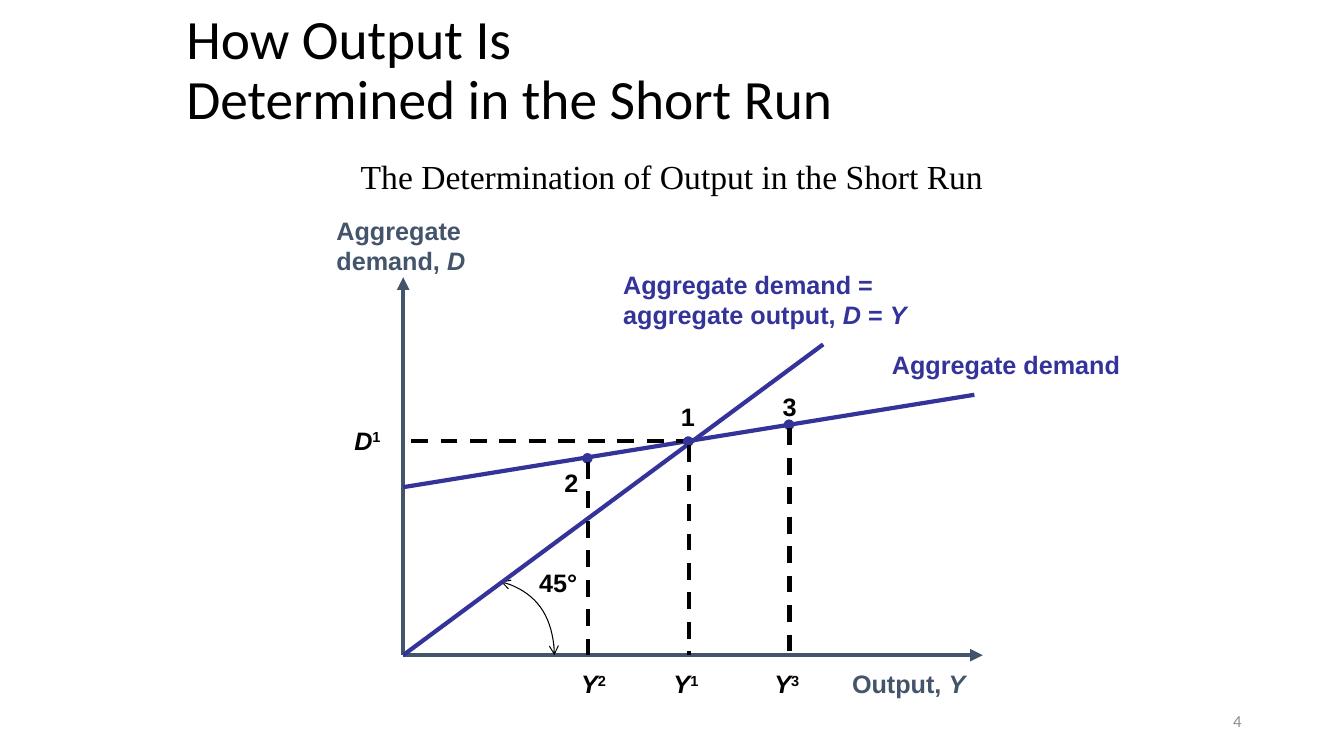
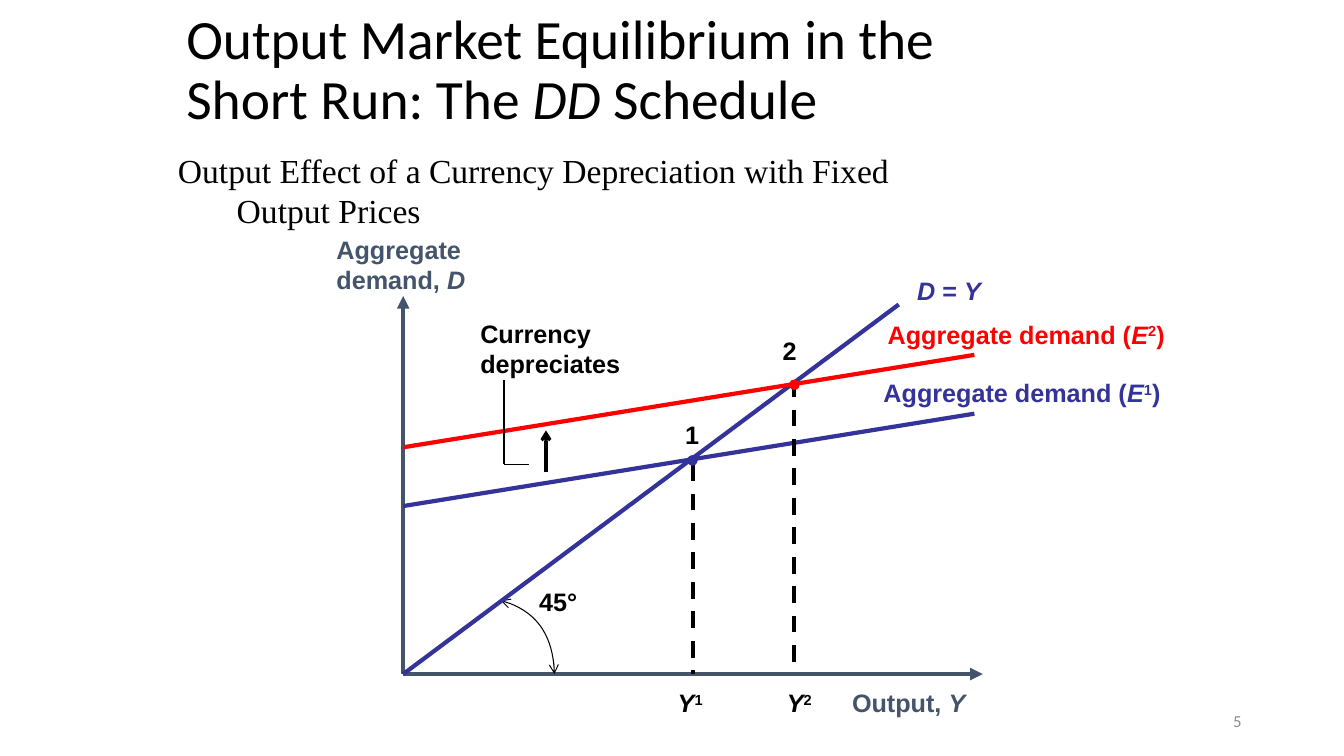
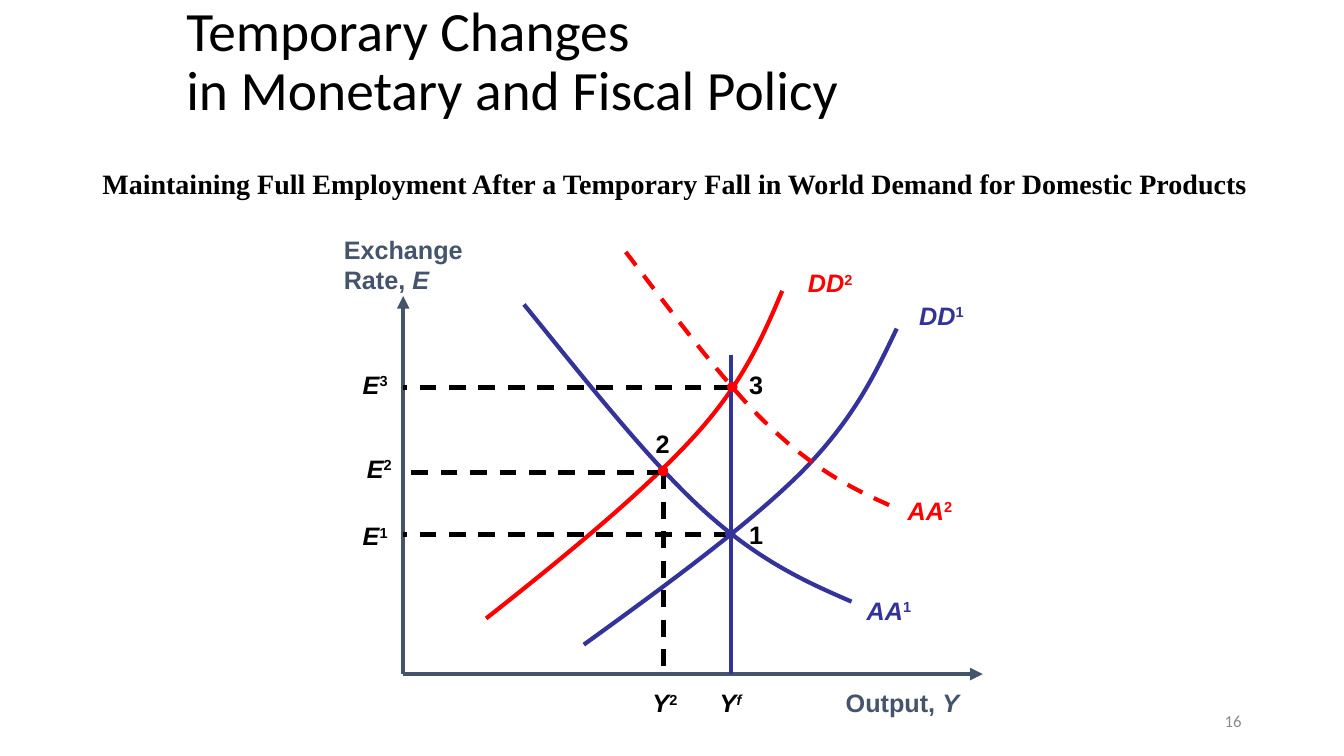
from dataclasses import dataclass

import pptx
import pptx.dml.color
import pptx.enum.dml
import pptx.enum.shapes
import pptx.enum.text
import pptx.oxml
import pptx.oxml.ns
import pptx.util

PX = 9525  # EMU in one px, 96 px to the inch
ALIGN = pptx.enum.text.PP_ALIGN
ANCHOR = pptx.enum.text.MSO_ANCHOR
qn = pptx.oxml.ns.qn


@dataclass(frozen=True)
class Theme:
    black: str = "000000"
    axis: str = "44546A"
    blue: str = "333399"
    red: str = "FF0000"
    grey: str = "8C8C8C"
    title_font: str = "Calibri"
    caption_font: str = "Times New Roman"
    label_font: str = "Arial"
    title_size: float = 39.6
    caption_size: float = 24
    caption_small: float = 20
    label_size: float = 18
    number_size: float = 12
    thick: float = 3
    medium: float = 2.25
    thin: float = 0.75


THEME = Theme()
ORIGIN_X, AXIS_END, AXIS_HEIGHT = 384, 936, 360


def rgb(colour):
    return pptx.dml.color.RGBColor.from_string(colour)


def px(*lengths):
    return [length * PX for length in lengths]


def element(tag, **attributes):
    node = pptx.oxml.parse_xml(f"<{tag} {pptx.oxml.ns.nsdecls('a')}/>")
    for name, value in attributes.items():
        node.set(name, str(value))
    return node


# Text: *italic*, ^ lifts the next character, \n new paragraph, \v line break

def add_runs(paragraph, text, font, size, colour, bold):
    for index, part in enumerate(text.split("*")):
        plain, *lifted = part.split("^")
        pieces = [(plain, False)]
        for piece in lifted:
            pieces += [(piece[0], True), (piece[1:], False)]
        for words, raised in pieces:
            if not words:
                continue
            run = paragraph.add_run()
            run.text = words
            run.font.name = font
            run.font.size = pptx.util.Pt(size)
            run.font.bold = bold
            run.font.italic = index % 2 == 1
            run.font.color.rgb = rgb(colour)
            if raised:
                run.font._element.set("baseline", "30000")


def add_text(slide, text, left, top, width, height, font=THEME.label_font,
             size=THEME.label_size, colour=THEME.black, bold=False, wrap=True,
             align=ALIGN.LEFT, anchor=ANCHOR.TOP, spacing=None, hanging=0):
    box = slide.shapes.add_textbox(*px(left, top, width, height))
    frame = box.text_frame
    frame.word_wrap = wrap
    frame.vertical_anchor = anchor
    for index, content in enumerate(text.split("\n")):
        paragraph = frame.add_paragraph() if index else frame.paragraphs[0]
        paragraph.alignment = align
        if spacing:
            paragraph.line_spacing = spacing
        if hanging:
            properties = paragraph._p.get_or_add_pPr()
            properties.set("marL", str(hanging * PX))
            properties.set("indent", str(-hanging * PX))
        for number, line in enumerate(content.split("\v")):
            if number:
                paragraph.add_line_break()
            add_runs(paragraph, line, font, size, colour, bold)


def add_label(slide, text, left, top, width=44, colour=THEME.black):
    height = 9 + 29 * (text.count("\n") + 1)
    add_text(slide, text, left, top, width, height, colour=colour, bold=True, wrap=False)


def add_digit(slide, text, left, top):
    add_label(slide, text, left, top, width=33)


# Lines, curves and dots

def format_line(line, colour, weight, dashed=False, head=None, tail=None):
    line.color.rgb = rgb(colour)
    line.width = pptx.util.Pt(weight)
    if dashed:
        line.dash_style = pptx.enum.dml.MSO_LINE.DASH
    for tag, kind in (("a:headEnd", head), ("a:tailEnd", tail)):
        if kind:
            line._get_or_add_ln().append(element(tag, type=kind))


def add_line(slide, start, end, colour=THEME.black, weight=THEME.thick, **style):
    connector = slide.shapes.add_connector(
        pptx.enum.shapes.MSO_CONNECTOR.STRAIGHT, *px(*start, *end))
    format_line(connector.line, colour, weight, **style)
    connector._element.spPr.append(element("a:effectLst"))


def add_dashes(slide, start, end):
    add_line(slide, start, end, dashed=True)


def add_curve(slide, points, colour=THEME.black, weight=THEME.thick, **style):
    """Draw a Bezier curve: a start, then two handles and an end per section."""
    builder = slide.shapes.build_freeform(*points[0], scale=PX)
    builder.add_line_segments(points[1:], close=False)
    shape = builder.convert_to_shape()
    shape.shadow.inherit = False
    shape.fill.background()
    format_line(shape.line, colour, weight, **style)
    segments = list(shape._element.iter(qn("a:lnTo")))
    for first in range(0, len(segments), 3):
        section = segments[first:first + 3]
        bezier = element("a:cubicBezTo")
        section[0].addprevious(bezier)
        for segment in section:
            bezier.append(segment[0])
            segment.getparent().remove(segment)


def add_dot(slide, x, y, colour=THEME.blue):
    dot = slide.shapes.add_shape(
        pptx.enum.shapes.MSO_SHAPE.OVAL, *px(x - 5, y - 4, 9, 9))
    dot.shadow.inherit = False
    dot.fill.solid()
    dot.fill.fore_color.rgb = rgb(colour)
    format_line(dot.line, colour, THEME.thin)


# Parts shared by the slides

def start_slide(presentation, title, number, title_top=8):
    slide = presentation.slides.add_slide(presentation.slide_layouts[6])
    add_text(slide, title, 168, title_top, 816, 120, font=THEME.title_font,
             size=THEME.title_size, anchor=ANCHOR.MIDDLE, spacing=0.9)
    add_text(slide, number, 904, 667, 288, 38, font=THEME.title_font,
             size=THEME.number_size, colour=THEME.grey, align=ALIGN.RIGHT,
             anchor=ANCHOR.MIDDLE)
    return slide


def add_caption(slide, text, left, top, width, height, size=THEME.caption_size, **style):
    add_text(slide, text, left, top, width, height, font=THEME.caption_font,
             size=size, anchor=ANCHOR.BOTTOM, **style)


def add_axes(slide, base, vertical_name, name_left=311, output_left=802):
    add_label(slide, "Output, *Y*", output_left, base + 8, 129, THEME.axis)
    origin = (ORIGIN_X, base)
    for tip in ((ORIGIN_X, base - AXIS_HEIGHT), (AXIS_END, base)):
        add_line(slide, tip, origin, THEME.axis, head="triangle")
    add_label(slide, vertical_name, name_left, base - 424, 144, THEME.axis)


def add_diagonal(slide, base, end):
    arc = [(477, base - 70), (507, base - 63), (528, base - 34), (528, base)]
    add_curve(slide, arc, weight=THEME.thin, head="arrow", tail="arrow")
    add_label(slide, "45°", 504, base - 88, 56)
    add_line(slide, (ORIGIN_X, base), end, THEME.blue)


def add_demand(slide, start_y, colour=THEME.blue):
    add_line(slide, (ORIGIN_X, start_y), (928, start_y - 88), colour)


# Slides

def build_short_run(presentation):
    slide = start_slide(presentation, "How Output Is\vDetermined in the Short Run", "4")
    add_caption(slide, "The Determination of Output in the Short Run",
                160, 136, 960, 56, align=ALIGN.CENTER)
    base = 624
    add_axes(slide, base, "Aggregate\ndemand, *D*")
    add_diagonal(slide, base, (784, 328))
    add_label(slide, "Aggregate demand =\naggregate output, *D* = *Y*",
              584, 252, 289, THEME.blue)
    add_demand(slide, 464)
    add_label(slide, "Aggregate demand", 840, 328, 237, THEME.blue)

    add_dashes(slide, (660, 420), (ORIGIN_X, 420))
    add_label(slide, "*D*^1", 328, 400)
    # digit, dot, digit place, output label left
    for digit, x, y, digit_left, digit_top, output_left in (
            ("2", 560, 436, 528, 440, 544),
            ("1", 656, 420, 639, 377, 632),
            ("3", 752, 404, 736, 368, 728)):
        add_dot(slide, x, y)
        add_digit(slide, digit, digit_left, digit_top)
        add_dashes(slide, (x, y + 4), (x, base))
        add_label(slide, f"*Y*^{digit}", output_left, base + 8)


def build_depreciation(presentation):
    slide = start_slide(
        presentation,
        "Output Market Equilibrium in the Short Run: The *DD* Schedule", "5")
    add_caption(slide, "Output Effect of a Currency Depreciation with Fixed\vOutput Prices",
                160, 128, 960, 96, hanging=56)
    base = 642
    add_axes(slide, base, "Aggregate\ndemand, *D*")
    add_diagonal(slide, base, (856, 290))
    add_label(slide, "*D* = *Y*", 864, 257, 80, THEME.blue)
    for digit, start_y, left, top, colour in (("2", 426, 836, 299, THEME.red),
                                              ("1", 482, 832, 355, THEME.blue)):
        add_demand(slide, start_y, colour)
        add_label(slide, f"Aggregate demand (*E*^{digit})", left, top, 284, colour)

    # dashed line, dot, digit place, output label left
    for digit, x, top, dot, digit_left, digit_top, output_left, colour in (
            ("1", 660, 442, (660, 438), 643, 395, 636, THEME.blue),
            ("2", 756, 362, (757, 366), 736, 315, 740, THEME.red)):
        add_dashes(slide, (x, top), (x, base))
        add_dot(slide, *dot, colour)
        add_digit(slide, digit, digit_left, digit_top)
        add_label(slide, f"*Y*^{digit}", output_left, base + 8)

    # Note on the shift
    add_label(slide, "Currency\ndepreciates", 448, 298, 153)
    corner = (480, 442)
    add_line(slide, (480, 362), corner, weight=THEME.thin)
    add_line(slide, corner, (504, 442), weight=THEME.thin)
    add_line(slide, (520, 450), (520, 410), weight=THEME.medium, tail="arrow")


def build_policy(presentation):
    slide = start_slide(
        presentation, "Temporary Changes\vin Monetary and Fiscal Policy", "16", title_top=0)
    add_caption(slide, "Maintaining Full Employment After a Temporary Fall in World Demand "
                "for Domestic Products", 88, 142, 1128, 53,
                size=THEME.caption_small, bold=True)
    base, full_output = 642, 696
    add_axes(slide, base, "Exchange\nRate, *E*", 318, 796)

    # Schedules: name, label place, colour, dashed, curve
    for name, left, top, colour, dashed, points in (
            ("*DD*^1", 866, 281, THEME.blue, False,
             [(556, 614), (635, 557), (714, 499), (764, 449),
              (814, 398), (834, 355), (854, 313)]),
            ("*AA*^2", 855, 467, THEME.red, True,
             [(596, 240), (645, 304), (693, 369), (735, 408),
              (777, 448), (813, 466), (849, 482)]),
            ("*AA*^1", 816, 562, THEME.blue, False,
             [(499, 290), (560, 365), (619, 440), (671, 487),
              (723, 534), (767, 554), (811, 573)]),
            ("*DD*^2", 760, 250, THEME.red, False,
             [(463, 589), (538, 530), (612, 469), (659, 418),
              (707, 366), (726, 322), (745, 277)])):
        add_curve(slide, points, colour, dashed=dashed)
        add_label(slide, name, left, top, 62, colour)

    add_line(slide, (full_output, 338), (full_output, base), THEME.blue)
    add_label(slide, "*Y^f*", 676, base + 8, 40)
    add_dashes(slide, (632, 450), (632, base))
    add_label(slide, "*Y*^2", 612, base + 8)

    # dashed line, dot, digit place, rate label place
    for digit, x, y, dot, digit_place, rate_place, colour in (
            ("2", 632, 450, (632, 448), (615, 403), (340, 427), THEME.red),
            ("1", full_output, 509, (696, 508), (704, 490), (336, 491), THEME.blue),
            ("3", full_output, 369, (698, 368), (704, 347), (336, 347), THEME.red)):
        add_dashes(slide, (x, y), (ORIGIN_X, y))
        add_dot(slide, *dot, colour)
        add_digit(slide, digit, *digit_place)
        add_label(slide, f"*E*^{digit}", *rate_place)


def main():
    presentation = pptx.Presentation()
    presentation.slide_width, presentation.slide_height = px(1280, 720)
    build_short_run(presentation)
    build_depreciation(presentation)
    build_policy(presentation)
    presentation.save("out.pptx")


if __name__ == "__main__":
    main()
